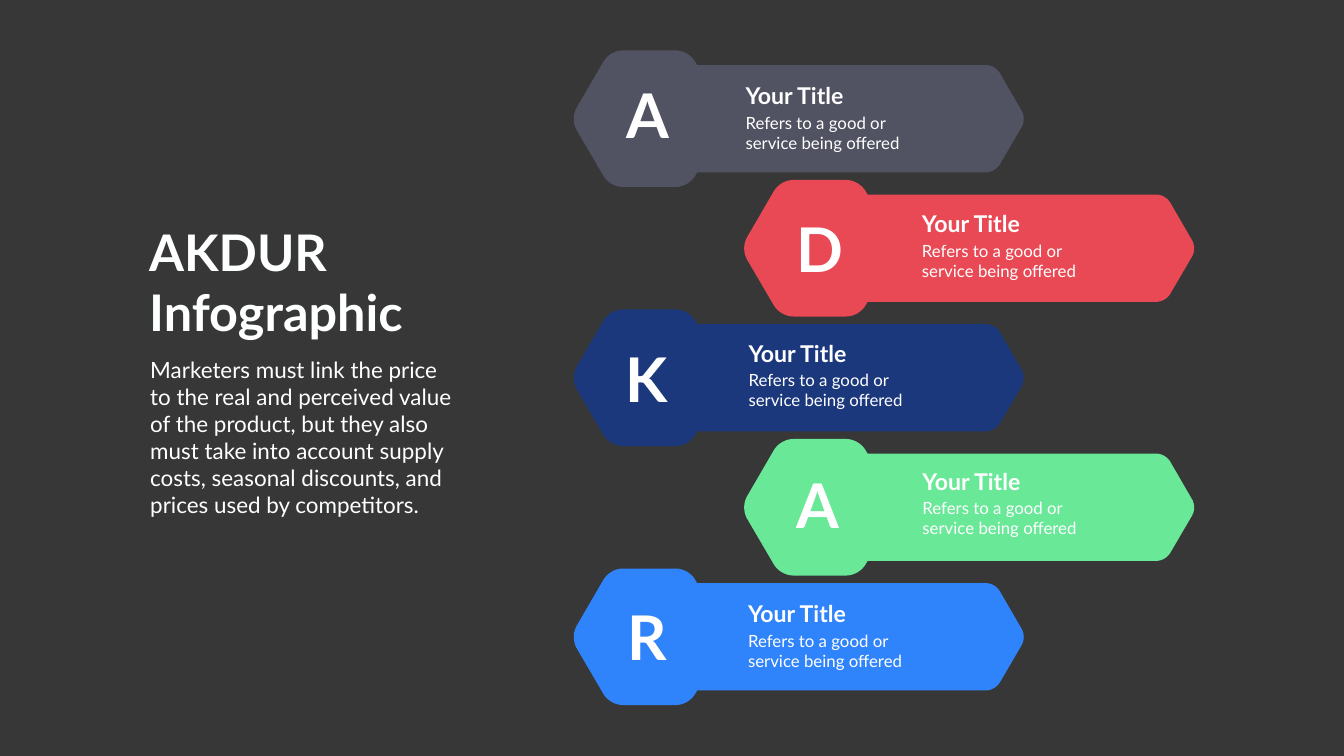
import math

from pptx import Presentation
from pptx import util as u
from pptx.dml.color import RGBColor
from pptx.enum import text as t
from pptx.oxml import xmlchemy as xml

HUES = {
    "back": "373737", "text": "FEFFFF", "white": "FFFFFF",
    "slate": "515262", "red": "E94954", "navy": "1C387C",
    "green": "69E898", "blue": "3084FB",
}
FONT = "Lato"
LEFT, TOP, STEP, SHIFT = 11.31, 1, 2.57, 3.38
# Corners relative to the row's left tip and top: x, y, trim length
HEAD = [(0, 1.36, .26), (.79, 0, .26), (2.35, 0, .26),
        (3.14, 1.36, .26), (2.35, 2.71, .26), (.79, 2.71, .26)]
BAR = [(1.86, .29, .32), (8.43, .29, .19), (9.05, 1.36, .19),
       (8.43, 2.42, .19), (1.86, 2.42, .32)]
# Letter, hue, letter centre and top, label left and top
ROWS = [
    ("A", "slate", 12.86, 1.48, 14.69, 1.57),
    ("D", "red", 16.25, 4.14, 18.19, 4.11),
    ("K", "navy", 12.82, 6.71, 14.75, 6.68),
    ("A", "green", 16.22, 9.21, 18.2, 9.22),
    ("R", "blue", 12.85, 11.84, 14.74, 11.85),
]
INTRO = ("Marketers must link the price to the real and perceived value of the "
         "product, but they also must take into account supply costs, seasonal "
         "discounts, and prices used by competitors.")


def rgb(hue):
    return RGBColor.from_string(HUES[hue])


def apply(item, vals):
    for key, val in vals.items():
        setattr(item, key, val)


def toward(a, b, dist):
    """Point on the line from a to b, dist away from a."""
    part = dist / math.dist(a, b)
    return tuple(p + (q - p) * part for p, q in zip(a, b))


def outline(nodes, steps=10):
    """Polygon points with each corner rounded by a cubic curve."""
    points = []
    for i, (x, y, trim) in enumerate(nodes):
        tip = (x, y)
        ends = [toward(tip, nodes[j % len(nodes)][:2], trim)
                for j in (i - 1, i + 1)]
        grips = [toward(end, tip, trim * .6) for end in ends]
        curve = (ends[0], grips[0], grips[1], ends[1])
        for n in range(steps + 1):
            s = n / steps
            points.append(tuple(
                sum(math.comb(3, k) * s**k * (1 - s)**(3 - k) * c[axis]
                    for k, c in enumerate(curve)) for axis in (0, 1)))
    return points


def add_panel(slide, nodes, x, y, hue):
    pts = [(u.Inches(x + a), u.Inches(y + b)) for a, b in outline(nodes)]
    pen = slide.shapes.build_freeform(*pts[0])
    pen.add_line_segments(pts[1:], close=True)
    panel = pen.convert_to_shape()
    panel.shadow.inherit = False
    panel.fill.solid()
    panel.fill.fore_color.rgb = rgb(hue)
    panel.line.fill.background()


def write(shape, box, lines, size, bold=False, hue="white",
          align=t.PP_ALIGN.LEFT, wrap=True):
    """Place a text shape and fill it, one paragraph a line."""
    apply(shape, dict(zip(("left", "top", "width", "height"),
                          map(u.Inches, box))))
    frame = shape.text_frame
    frame.text = "\n".join(lines)
    apply(frame, {"word_wrap": wrap, "vertical_anchor": t.MSO_ANCHOR.TOP,
                  "auto_size": t.MSO_AUTO_SIZE.SHAPE_TO_FIT_TEXT})
    for para in frame.paragraphs:
        if shape.is_placeholder:
            props = para._p.get_or_add_pPr()
            props.set("marL", "0")
            props.set("indent", "0")
            props.append(xml.OxmlElement("a:buNone"))
        apply(para, {"alignment": align, "space_before": u.Pt(0)})
        for run in para.runs:
            apply(run.font, {"name": FONT, "size": u.Pt(size), "bold": bold})
            run.font.color.rgb = rgb(hue)


def add_text(slide, box, lines, size, **style):
    shape = slide.shapes.add_textbox(*map(u.Inches, box))
    write(shape, box, lines, size, **style)


def add_label(slide, x, y):
    add_text(slide, (x, y, 2.3, .66), ["Your Title"], 33, bold=True)
    add_text(slide, (x, y + .61, 3.52, .91),
             ["Refers to a good or", "service being offered"], 24)


def main():
    deck = Presentation()
    apply(deck, {"slide_width": u.Inches(26.66), "slide_height": u.Inches(15)})
    slide = deck.slides.add_slide(deck.slide_layouts[1])
    slide.background.fill.solid()
    slide.background.fill.fore_color.rgb = rgb("back")

    write(slide.shapes.title, (2.86, 4.33, 5.37, 2.52),
          ["AKDUR", "Infographic"], 72, bold=True, hue="text")
    write(slide.placeholders[1], (2.88, 7.02, 6.19, 3.33),
          [INTRO], 32, hue="text")

    for i, (letter, hue, mid, top, x, y) in enumerate(ROWS):
        for nodes in (BAR, HEAD):
            add_panel(slide, nodes, LEFT + i % 2 * SHIFT, TOP + i * STEP, hue)
        add_text(slide, (mid - .55, top, 1.1, 1.58), [letter], 88, bold=True,
                 align=t.PP_ALIGN.CENTER, wrap=False)
        add_label(slide, x, y)
    deck.save("out.pptx")


if __name__ == "__main__":
    main()
